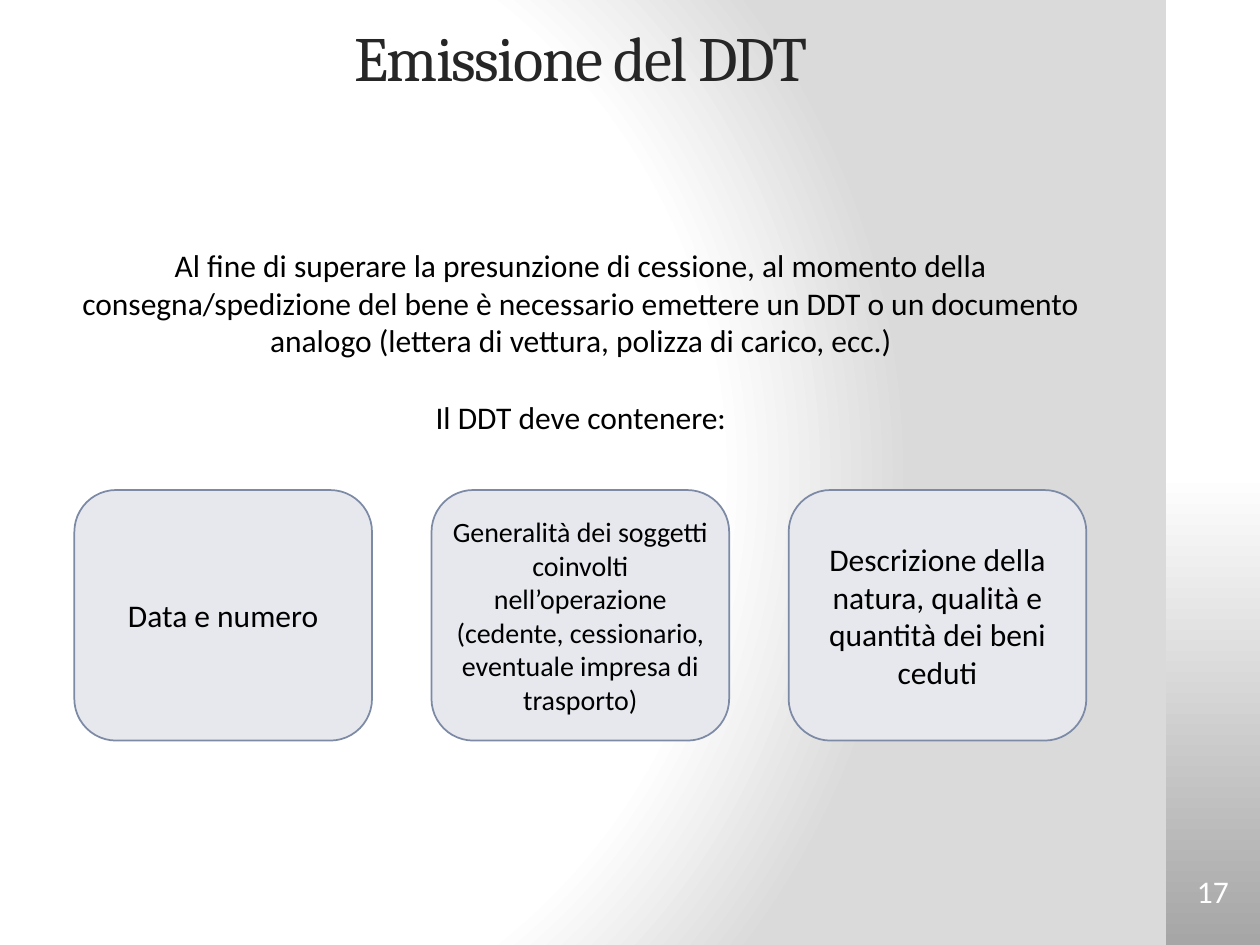
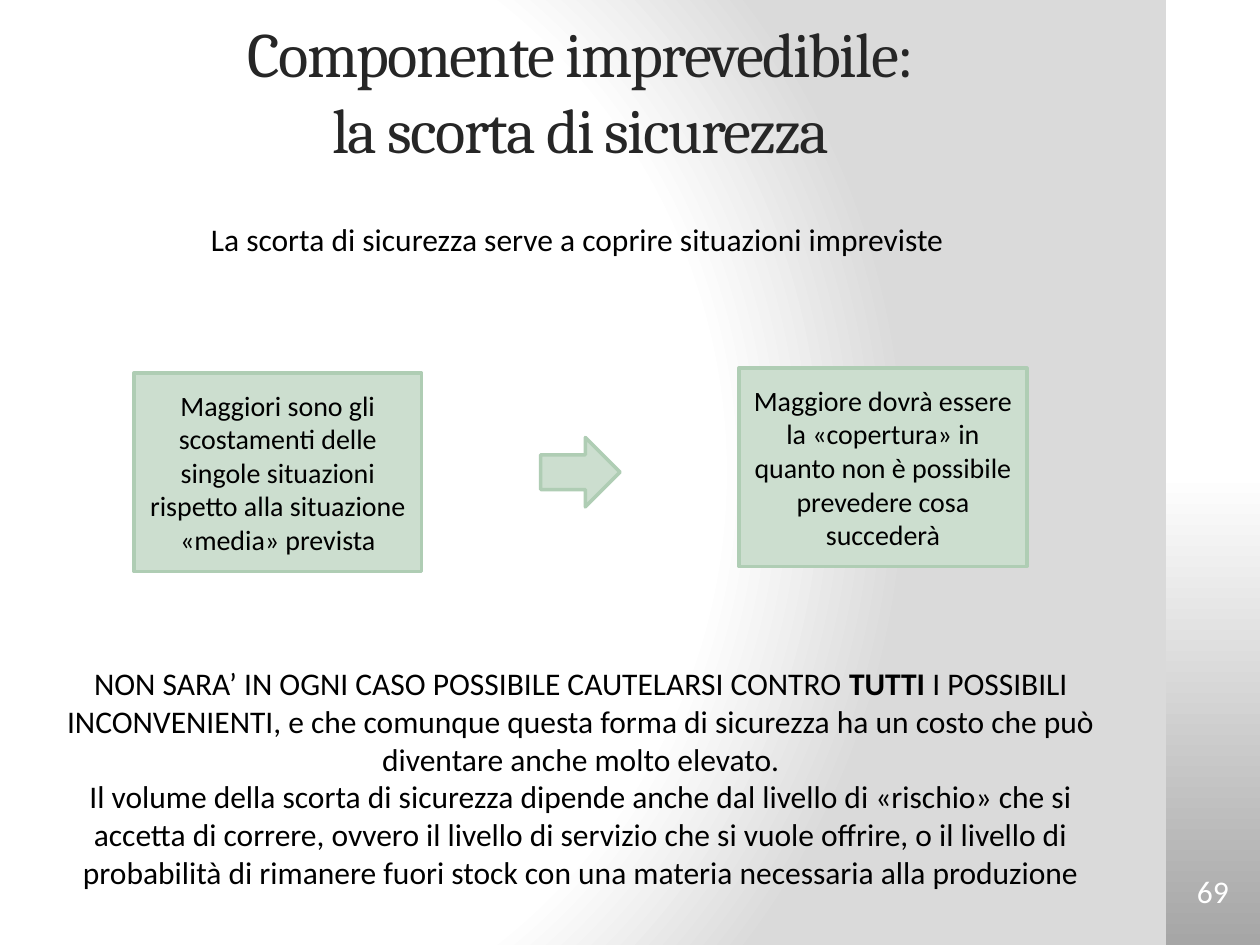
from pptx import Presentation
from pptx.dml.color import RGBColor
from pptx.enum.shapes import MSO_SHAPE
from pptx.enum.text import MSO_ANCHOR, MSO_AUTO_SIZE, PP_ALIGN
from pptx.oxml import parse_xml
from pptx.oxml.ns import nsdecls, qn
from pptx.util import Cm, Pt

COLORS = {
    "white": "FFFFFF",
    "background_grey": "DADADA",
    "band_grey": "A6A6A6",
    "title": "262626",
    "text": "000000",
    "card_fill": "E6E8EE",
    "card_line": "7C8AA6",
    "green_fill": "CCDECF",
    "green_line": "AFCDB4",
}
TITLE_FONT = "Cambria"
BODY_FONT = "Calibri"
SLIDE_WIDTH, SLIDE_HEIGHT = 25.4, 19.05
TEXT_LEFT, TEXT_WIDTH = 0.71, 22.0
BAND_LEFT = 23.5


def color(name):
    return RGBColor.from_string(COLORS[name])


def set_gradient(element, stops, direction):
    """Replace the gradient in an element by the given stops and direction."""
    stop_xml = "".join(
        f'<a:gs pos="{position * 1000}"><a:srgbClr val="{COLORS[name]}"/></a:gs>'
        for position, name in stops
    )
    gradient = parse_xml(
        f'<a:gradFill {nsdecls("a")} rotWithShape="1">'
        f"<a:gsLst>{stop_xml}</a:gsLst>{direction}</a:gradFill>"
    )
    present = next(element.iter(qn("a:gradFill")))
    present.getparent().replace(present, gradient)


def write_text(frame, paragraphs, size=18, color_name="text", gap=0):
    """Write centred paragraphs, each a list of (text, bold) runs."""
    frame.word_wrap = True
    for index, runs in enumerate(paragraphs):
        paragraph = frame.add_paragraph() if index else frame.paragraphs[0]
        paragraph.alignment = PP_ALIGN.CENTER
        if index and gap:
            paragraph.space_before = Pt(gap)
        for text, bold in runs:
            run = paragraph.add_run()
            run.text = text
            run.font.name = BODY_FONT
            run.font.size = Pt(size)
            run.font.bold = bold
            run.font.color.rgb = color(color_name)


def add_shape(slide, kind, box, fill=None, line=None, line_width=1):
    shape = slide.shapes.add_shape(kind, *map(Cm, box))
    shape.shadow.inherit = False
    if fill:
        shape.fill.solid()
        shape.fill.fore_color.rgb = color(fill)
    else:
        shape.fill.background()
    if line:
        shape.line.color.rgb = color(line)
        shape.line.width = Pt(line_width)
    else:
        shape.line.fill.background()
    shape.text_frame.vertical_anchor = MSO_ANCHOR.MIDDLE
    return shape


def set_margins(frame, margin):
    frame.margin_left = frame.margin_right = Cm(margin)
    frame.margin_top = frame.margin_bottom = Cm(margin)


def add_text(slide, box, paragraphs, gap=0):
    frame = slide.shapes.add_textbox(*map(Cm, box)).text_frame
    write_text(frame, paragraphs, gap=gap)


def style_master(presentation):
    master = presentation.slide_master
    master.background.fill.gradient()
    set_gradient(
        master.element,
        [(0, "white"), (75, "white"), (100, "background_grey")],
        '<a:path path="circle">'
        '<a:fillToRect l="20000" t="50000" r="100000" b="50000"/></a:path>',
    )


def add_title(slide, box, lines):
    title = slide.shapes.title
    title.left, title.top, title.width, title.height = map(Cm, box)
    frame = title.text_frame
    frame.auto_size = MSO_AUTO_SIZE.NONE
    frame.vertical_anchor = MSO_ANCHOR.MIDDLE
    paragraph = frame.paragraphs[0]
    paragraph.alignment = PP_ALIGN.CENTER
    for index, text in enumerate(lines):
        if index:
            paragraph.add_line_break()
        run = paragraph.add_run()
        run.text = text
        run.font.name = TITLE_FONT
        run.font.size = Pt(36)
        run.font.color.rgb = color("title")
        run.font._element.set("spc", "-100")
    # Line breaks take the size of the title text
    for line_break in paragraph._p.findall(qn("a:br")):
        line_break.append(parse_xml(f'<a:rPr {nsdecls("a")} sz="3600"/>'))


def add_side_band(slide, box, number):
    left, top, width, height = box
    band = add_shape(slide, MSO_SHAPE.RECTANGLE, box)
    band.fill.gradient()
    set_gradient(
        band._element,
        [(0, "white"), (50, "white"), (100, "band_grey")],
        '<a:lin ang="5400000" scaled="0"/>',
    )
    # Slide number near the foot of the band
    diameter = 1.7
    badge_box = (left + (width - diameter) / 2, top + height - 1.93, diameter, diameter)
    badge = add_shape(slide, MSO_SHAPE.OVAL, badge_box)
    set_margins(badge.text_frame, 0)
    write_text(badge.text_frame, [[(str(number), False)]], color_name="white")


def add_base_slide(presentation, title_lines, title_top, title_height, number):
    slide = presentation.slides.add_slide(presentation.slide_layouts[5])
    band_box = (BAND_LEFT, 0, SLIDE_WIDTH - BAND_LEFT, SLIDE_HEIGHT)
    add_side_band(slide, band_box, number)
    add_title(slide, (TEXT_LEFT, title_top, TEXT_WIDTH, title_height), title_lines)
    return slide


def add_cards(slide, box, cards, gap):
    """Divide the box into equal rounded cards."""
    left, top, width, height = box
    card_width = (width - gap * (len(cards) - 1)) / len(cards)
    for index, (text, size) in enumerate(cards):
        card_box = (left + index * (card_width + gap), top, card_width, height)
        card = add_shape(
            slide, MSO_SHAPE.ROUNDED_RECTANGLE, card_box, "card_fill", "card_line"
        )
        set_margins(card.text_frame, 0.15)
        write_text(card.text_frame, [[(text, False)]], size)


def add_cause_and_effect(slide, box, cause, effect):
    """Place cause and effect at the ends of the box, with an arrow between."""
    left, top, width, height = box
    green = ("green_fill", "green_line", 2)
    block_width, block_height = 5.8, 4.0
    blocks = [
        (cause, left, top + height - block_height),
        (effect, left + width - block_width, top),
    ]
    for text, block_left, block_top in blocks:
        block_box = (block_left, block_top, block_width, block_height)
        block = add_shape(slide, MSO_SHAPE.RECTANGLE, block_box, *green)
        write_text(block.text_frame, [[(text, False)]], 16)
    arrow_box = (left + 8.2, top + 1.4, 1.6, 1.4)
    add_shape(slide, MSO_SHAPE.RIGHT_ARROW, arrow_box, *green)


def build_delivery_note_slide(presentation):
    slide = add_base_slide(presentation, ["Emissione del DDT"], 0.36, 1.55, 17)
    add_text(
        slide,
        (TEXT_LEFT, 4.83, TEXT_WIDTH, 4.1),
        [
            [(
                "Al fine di superare la presunzione di cessione, al momento della "
                "consegna/spedizione del bene è necessario emettere un DDT o un "
                "documento analogo (lettera di vettura, polizza di carico, ecc.)",
                False,
            )],
            [("Il DDT deve contenere:", False)],
        ],
        gap=22,
    )
    cards = [
        ("Data e numero", 18),
        (
            "Generalità dei soggetti coinvolti nell’operazione (cedente, "
            "cessionario, eventuale impresa di trasporto)",
            16,
        ),
        ("Descrizione della natura, qualità e quantità dei beni ceduti", 18),
    ]
    add_cards(slide, (1.5, 9.88, 20.4, 5.05), cards, gap=1.2)


def build_safety_stock_slide(presentation):
    title_lines = ["Componente imprevedibile:", "la scorta di sicurezza"]
    slide = add_base_slide(presentation, title_lines, 0.15, 3.35, 69)
    add_text(
        slide,
        (TEXT_LEFT, 4.31, TEXT_WIDTH, 1.0),
        [[("La scorta di sicurezza serve a coprire situazioni impreviste ", False)]],
    )
    add_cause_and_effect(
        slide,
        (2.7, 7.42, 18.0, 4.1),
        "Maggiori sono gli scostamenti delle singole situazioni rispetto alla "
        "situazione «media» prevista",
        "Maggiore dovrà essere la «copertura» in quanto non è possibile "
        "prevedere cosa succederà",
    )
    # Closing warning
    add_text(
        slide,
        (TEXT_LEFT, 13.26, TEXT_WIDTH, 4.88),
        [
            [
                ("NON SARA’ IN OGNI CASO POSSIBILE CAUTELARSI CONTRO ", False),
                ("TUTTI", True),
                (
                    " I POSSIBILI INCONVENIENTI, e che comunque questa forma di "
                    "sicurezza ha un costo che può diventare anche molto elevato.",
                    False,
                ),
            ],
            [(
                "Il volume della scorta di sicurezza dipende anche dal livello di "
                "«rischio» che si accetta di correre, ovvero il livello di servizio "
                "che si vuole offrire, o il livello di probabilità di rimanere fuori "
                "stock con una materia necessaria alla produzione",
                False,
            )],
        ],
    )


def main():
    presentation = Presentation()
    presentation.slide_width = Cm(SLIDE_WIDTH)
    presentation.slide_height = Cm(SLIDE_HEIGHT)
    style_master(presentation)
    build_delivery_note_slide(presentation)
    build_safety_stock_slide(presentation)
    presentation.save("out.pptx")


if __name__ == "__main__":
    main()
